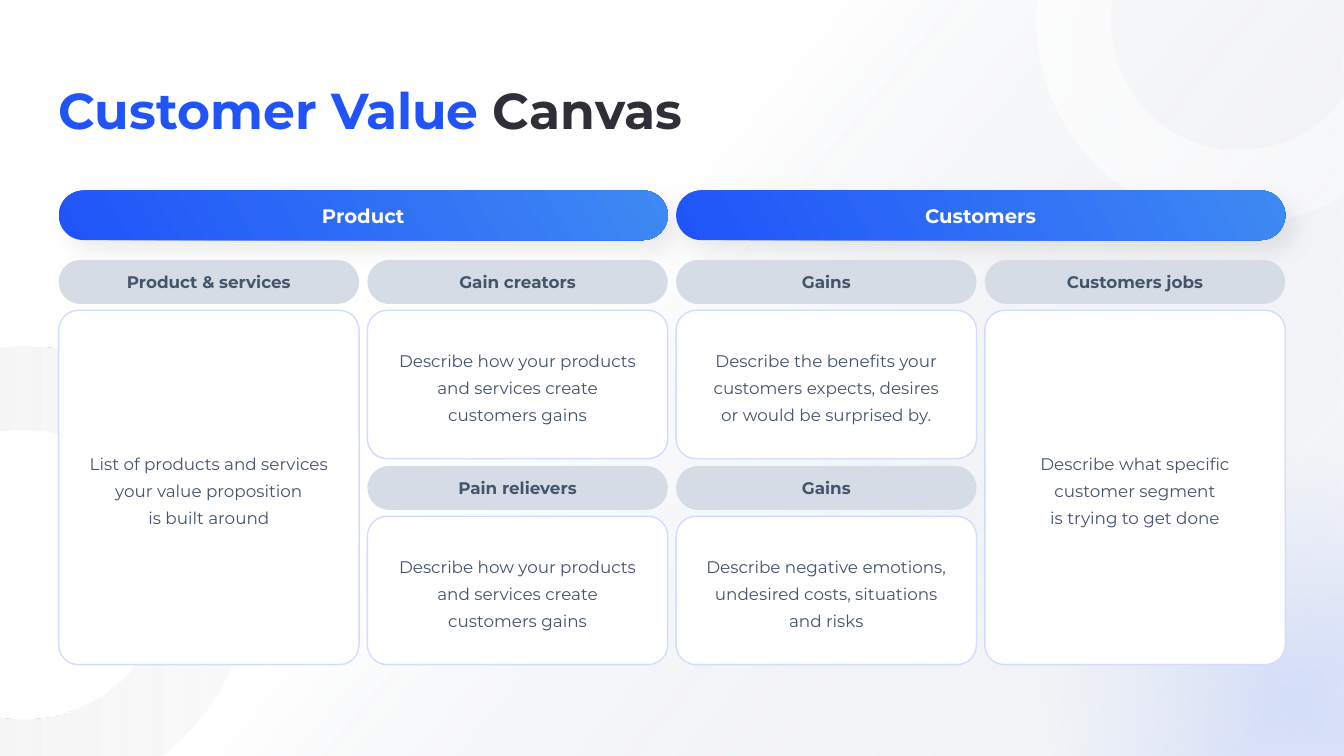
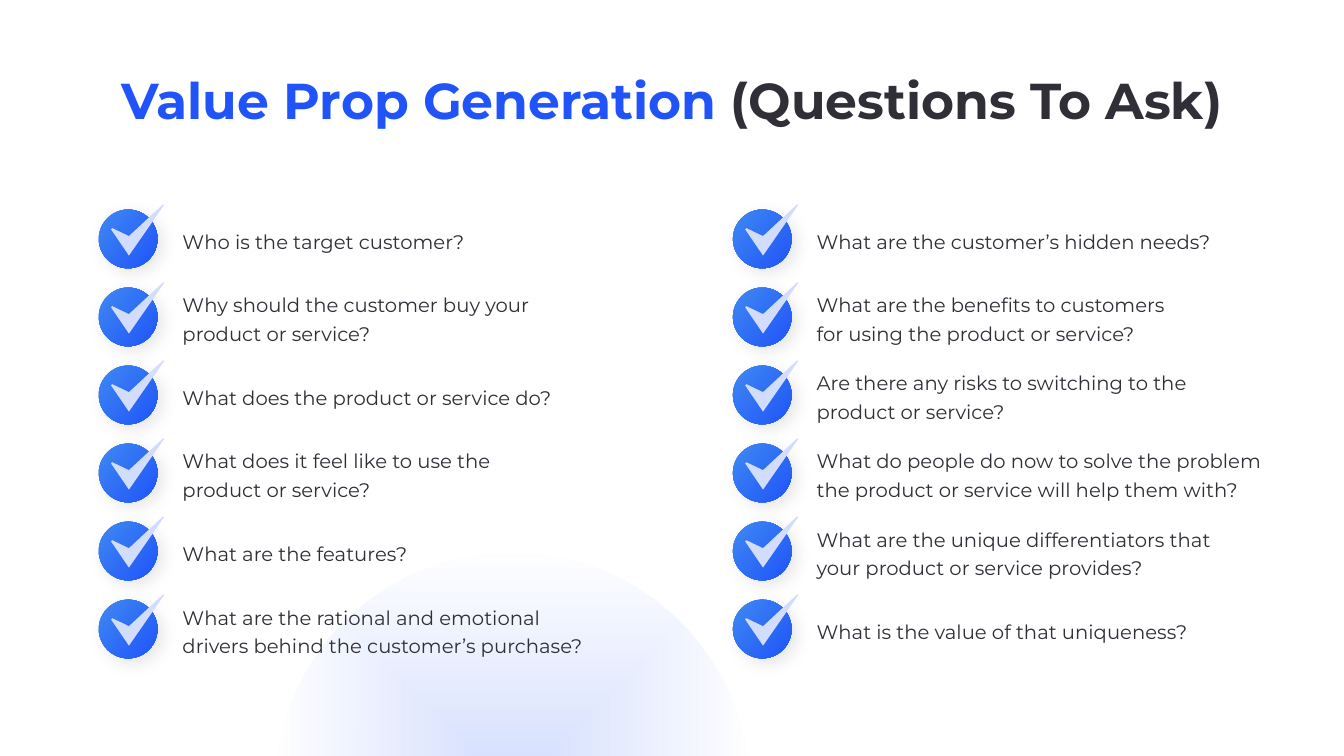
from dataclasses import dataclass

from lxml import etree
from pptx import Presentation
from pptx.dml.color import RGBColor
from pptx.enum.shapes import MSO_SHAPE
from pptx.enum.text import MSO_ANCHOR, PP_ALIGN
from pptx.oxml.ns import qn
from pptx.shapes.autoshape import Shape
from pptx.slide import Slide
from pptx.text.text import TextFrame
from pptx.util import Cm, Pt

RECT = MSO_SHAPE.RECTANGLE
ROUND = MSO_SHAPE.ROUNDED_RECTANGLE
OVAL = MSO_SHAPE.OVAL
DONUT = MSO_SHAPE.DONUT
TOP, MIDDLE = MSO_ANCHOR.TOP, MSO_ANCHOR.MIDDLE
LEFT, CENTER = PP_ALIGN.LEFT, PP_ALIGN.CENTER

FONT = "Montserrat"
BLUE, SKY, PALE = "2054F8", "3E89F3", "D2DDFE"
DARK, SLATE, MIST = "302F37", "44546A", "D6DCE5"
WHITE, GREY = "FFFFFF", "F2F2F2"
WIDE, HIGH = 33.87, 19.05

EDGE, COL, GAP = 1.48, 7.57, 0.21
PILL, BOX, STEP = 1.11, 3.74, 5.19
PILL_TOP, BOX_TOP = 6.55, 7.82

DISC = 1.48
FIRST, LAST = 5.28, 15.11
TICK = [(76, 67), (34, 47), (31, 50), (76, 116), (165, -12), (162, -13)]


@dataclass(frozen=True)
class Stop:
    at: float
    tint: str
    alpha: float = 100


@dataclass(frozen=True)
class Card:
    col: int
    row: int
    head: str
    body: str
    rows: int = 1


@dataclass(frozen=True)
class Ask:
    text: str
    width: float = 12.52


CARDS = [
    Card(0, 0, "Product & services",
         "List of products and services your value proposition\nis built around", 2),
    Card(1, 0, "Gain creators",
         "Describe how your products and services create customers gains"),
    Card(2, 0, "Gains",
         "Describe the benefits your\vcustomers expects, desires\vor would be surprised by."),
    Card(3, 0, "Customers jobs",
         "Describe what specific customer segment\nis trying to get done", 2),
    Card(1, 1, "Pain relievers",
         "Describe how your products and services create customers gains"),
    Card(2, 1, "Gains",
         "Describe negative emotions, undesired costs, situations and risks"),
]

ASKS = [
    [
        Ask("Who is the target customer?"),
        Ask("Why should the customer buy your product or service?", 9.4),
        Ask("What does the product or service do?"),
        Ask("What does it feel like to use the product or service?", 9.37),
        Ask("What are the features?"),
        Ask("What are the rational and emotional drivers behind the customer’s purchase?", 10.29),
    ],
    [
        Ask("What are the customer’s hidden needs?"),
        Ask("What are the benefits to customers for using the product or service?", 9.07),
        Ask("Are there any risks to switching to the product or service?", 10.03),
        Ask("What do people do now to solve the problem the product or service will help them with?",
            11.46),
        Ask("What are the unique differentiators that your product or service provides?", 10.74),
        Ask("What is the value of that uniqueness?"),
    ],
]


def color(code: str) -> RGBColor:
    return RGBColor.from_string(code)


def write(frame: TextFrame, text: str, size: float = 12, tint: str = SLATE,
          bold: bool = False, align: PP_ALIGN = CENTER, anchor: MSO_ANCHOR = MIDDLE,
          pad: tuple[float, float] = (0, 0), space: float | Pt | None = None,
          tail: str = "") -> None:
    frame.word_wrap = True
    frame.vertical_anchor = anchor
    frame.margin_left = frame.margin_right = Cm(pad[0])
    frame.margin_top = frame.margin_bottom = Cm(pad[1])
    for i, line in enumerate(text.split("\n")):
        para = frame.add_paragraph() if i else frame.paragraphs[0]
        para.text = line
        para.alignment = align
        para.line_spacing = space
        tints = [tint] * len(para.runs)
        if tail:
            para.add_run().text = tail
            tints.append(DARK)
        for run, shade in zip(para.runs, tints):
            run.font.name = FONT
            run.font.size = Pt(size)
            run.font.bold = bold
            run.font.color.rgb = color(shade)


def label(slide: Slide, x: float, y: float, w: float, h: float, text: str, **style) -> None:
    box = slide.shapes.add_textbox(Cm(x), Cm(y), Cm(w), Cm(h))
    write(box.text_frame, text, **style)


def title(slide: Slide, y: float, lead: str, tail: str, **style) -> None:
    label(slide, EDGE, y, 30.91, 2.54, lead, tail=tail, size=36, tint=BLUE, bold=True, **style)


def shape(slide: Slide, kind: MSO_SHAPE, x: float, y: float, w: float, h: float,
          fill: str = WHITE, line: str = "", adj: float | None = None) -> Shape:
    item = slide.shapes.add_shape(kind, Cm(x), Cm(y), Cm(w), Cm(h))
    if adj is not None:
        item.adjustments[0] = adj
    return paint(item, fill, line)


def paint(item: Shape, fill: str, line: str = "") -> Shape:
    item.shadow.inherit = False
    item.fill.solid()
    item.fill.fore_color.rgb = color(fill)
    if line:
        item.line.color.rgb = color(line)
        item.line.width = Pt(1)
    else:
        item.line.fill.background()
    return item


def node(root, tag: str, **attrs):
    return etree.SubElement(root, qn(tag), {k: str(v) for k, v in attrs.items()})


def tinted(root, code: str, alpha: float) -> None:
    node(node(root, "a:srgbClr", val=code), "a:alpha", val=round(alpha * 1000))


def blend(item: Shape, stops: list[Stop], angle: float | None = None) -> None:
    props = item._element.spPr
    grad = etree.Element(qn("a:gradFill"), rotWithShape="1")
    group = node(grad, "a:gsLst")
    for stop in stops:
        tinted(node(group, "a:gs", pos=round(stop.at * 1000)), stop.tint, stop.alpha)
    if angle is None:
        way = node(grad, "a:path", path="shape")
        node(way, "a:fillToRect", l=50000, t=50000, r=50000, b=50000)
    else:
        node(grad, "a:lin", ang=round(angle * 60000), scaled=0)
    props.replace(props.find(qn("a:solidFill")), grad)


def shade(item: Shape, alpha: float, blur: float, dist: float) -> None:
    root = item._element.spPr.find(qn("a:effectLst"))
    cast = node(root, "a:outerShdw", blurRad=Pt(blur), dist=Pt(dist),
                dir=45 * 60000, algn="tl", rotWithShape=0)
    tinted(cast, "000000", alpha)


def glow(slide: Slide, x: float, y: float, size: float) -> None:
    blend(shape(slide, OVAL, x, y, size, size), [Stop(0, PALE), Stop(100, PALE, 0)])


def ring(slide: Slide, x: float, y: float, radius: float, band: float,
         stops: list[Stop]) -> None:
    size = 2 * radius
    item = shape(slide, DONUT, x - radius, y - radius, size, size, adj=band / size)
    blend(item, stops, 0)


def header(slide: Slide, col: int, text: str) -> None:
    item = shape(slide, ROUND, EDGE + col * (COL + GAP), 4.8, 2 * COL + GAP, 1.25, adj=0.5)
    blend(item, [Stop(0, BLUE), Stop(100, SKY)], 330)
    shade(item, 8, 17, 10)
    write(item.text_frame, text, size=14, tint=WHITE, bold=True)


def panel(slide: Slide, card: Card) -> None:
    x = EDGE + card.col * (COL + GAP)
    drop = card.row * STEP
    high = BOX + (card.rows - 1) * STEP
    body = shape(slide, ROUND, x, BOX_TOP + drop, COL, high, line=PALE,
                 adj=0.5 / min(COL, high))
    write(body.text_frame, card.body, pad=(0.51, 0.13), space=Pt(19.4))
    pill = shape(slide, ROUND, x, PILL_TOP + drop, COL, PILL, MIST, adj=0.5)
    write(pill.text_frame, card.head, bold=True, pad=(0, 0.13))


def point(slide: Slide, x: float, y: float, ask: Ask) -> None:
    disc = shape(slide, OVAL, x, y, DISC, DISC)
    blend(disc, [Stop(0, SKY), Stop(100, BLUE)], 40)
    shade(disc, 10, 12, 5)
    pen = slide.shapes.build_freeform(*TICK[0], scale=Cm(0.01))
    pen.add_line_segments(TICK[1:], close=True)
    paint(pen.convert_to_shape(Cm(x), Cm(y)), PALE)
    label(slide, x + 2.11, y, ask.width, DISC, ask.text, size=14, tint=DARK,
          align=LEFT, space=1.2)


def canvas(slide: Slide) -> None:
    glow(slide, 26.31, 11.3, 12.62)
    veil = shape(slide, RECT, 0, 0, WIDE, HIGH)
    blend(veil, [Stop(41, WHITE), Stop(98, MIST, 20)], 40)
    ring(slide, 0.58, 14.48, 5.74, 2.1, [Stop(45, GREY, 70), Stop(100, GREY, 39)])
    ring(slide, 31.22, 0.53, 5.1, 1.86, [Stop(0, WHITE, 76), Stop(100, WHITE, 30)])
    header(slide, 0, "Product")
    header(slide, 2, "Customers")
    title(slide, 1.48, "Customer Value ", "Canvas", align=LEFT)
    for card in CARDS:
        panel(slide, card)


def survey(slide: Slide) -> None:
    glow(slide, 6.93, 13.92, 11.96)
    title(slide, 1.75, "Value Prop Generation", " (Questions To Ask)", anchor=TOP)
    for x, asks in zip((2.49, 18.47), ASKS):
        step = (LAST - FIRST) / (len(asks) - 1)
        for i, ask in enumerate(asks):
            point(slide, x, FIRST + i * step, ask)


def main() -> None:
    deck = Presentation()
    deck.slide_width, deck.slide_height = Cm(WIDE), Cm(HIGH)
    for draw in (canvas, survey):
        draw(deck.slides.add_slide(deck.slide_layouts[6]))
    deck.save("out.pptx")


if __name__ == "__main__":
    main()
